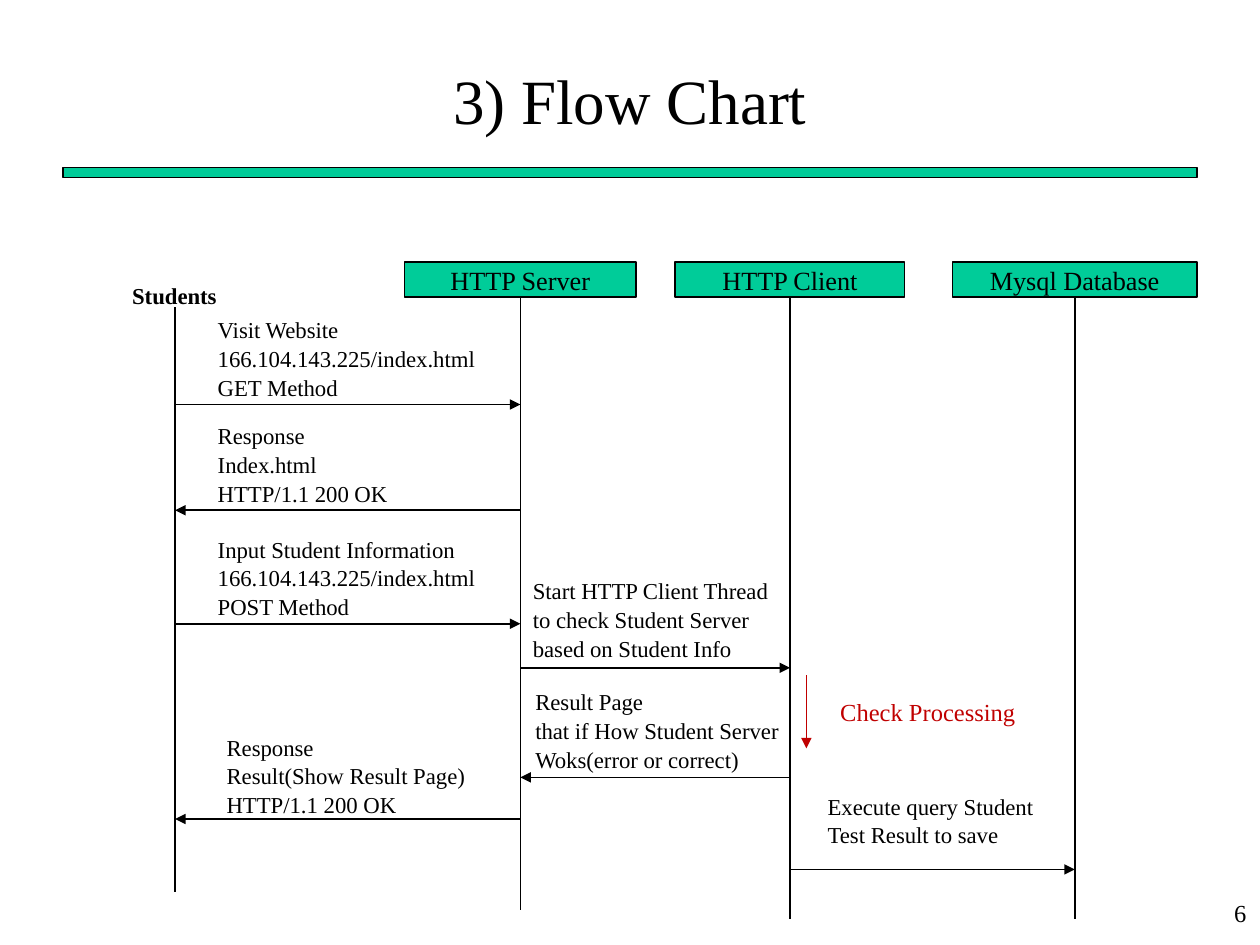
from lxml import etree
from pptx import Presentation
from pptx.dml.color import RGBColor
from pptx.enum import shapes, text
from pptx.oxml.ns import qn
from pptx.util import Inches, Pt

FONT = "Times New Roman"
HEX = {"ink": "000000", "green": "00CC99", "red": "C00000"}
USER = 1.39
HEADS = [
    ("HTTP Server", 3.21, 1.84, 7.22),
    ("HTTP Client", 5.36, 1.82, 7.29),
    ("Mysql Database", 7.56, 1.94, 7.29),
]
SERVER, CLIENT, DATA = [left + width / 2 for _, left, width, _ in HEADS]
ARROWS = [
    (USER, SERVER, 3.21),
    (SERVER, USER, 4.05),
    (USER, SERVER, 4.95),
    (SERVER, CLIENT, 5.3),
    (CLIENT, SERVER, 6.17),
    (SERVER, USER, 6.5),
    (CLIENT, DATA, 6.9),
]
NOTES = [
    (1.63, 2.45, 2.27, ["Visit Website", "166.104.143.225/index.html", "GET Method"]),
    (1.63, 3.29, 1.57, ["Response", "Index.html", "HTTP/1.1 200 OK"]),
    (1.63, 4.19, 2.27, ["Input Student Information", "166.104.143.225/index.html", "POST Method"]),
    (4.13, 4.52, 2.09, ["Start HTTP Client Thread", "to check Student Server", "based on Student Info"]),
    (4.15, 5.4, 2.16, ["Result Page", "that if How Student Server", "Woks(error or correct)"]),
    (1.7, 5.76, 2.11, ["Response", "Result(Show Result Page)", "HTTP/1.1 200 OK"]),
    (6.47, 6.23, 1.85, ["Execute query Student", "Test Result to save"]),
]

deck = Presentation()
deck.slide_width, deck.slide_height = Inches(10), Inches(7.5)
slide = deck.slides.add_slide(deck.slide_layouts[5])


def color(name):
    return RGBColor.from_string(HEX[name])


def write(shape, lines, size, align="LEFT", tone="ink", bold=False, space=1.0):
    frame = shape.text_frame
    for i, line in enumerate(lines):
        para = frame.paragraphs[0] if i == 0 else frame.add_paragraph()
        para.alignment = getattr(text.PP_ALIGN, align)
        para.line_spacing = space
        run = para.add_run()
        run.text = line
        run.font.name, run.font.size, run.font.bold = FONT, Pt(size), bold
        run.font.color.rgb = color(tone)


def label(left, top, width, height, lines, size, **style):
    box = slide.shapes.add_textbox(*map(Inches, (left, top, width, height)))
    box.text_frame.word_wrap = False
    write(box, lines, size, **style)


def bar(left, top, width, height, weight):
    rect = slide.shapes.add_shape(
        shapes.MSO_SHAPE.RECTANGLE, *map(Inches, (left, top, width, height)))
    rect.shadow.inherit = False
    rect.fill.solid()
    rect.fill.fore_color.rgb = color("green")
    rect.line.color.rgb = color("ink")
    rect.line.width = Pt(weight)
    return rect


def link(x1, y1, x2, y2, tone="ink", arrow=True):
    line = slide.shapes.add_connector(
        shapes.MSO_CONNECTOR.STRAIGHT, *map(Inches, (x1, y1, x2, y2)))
    line.line.color.rgb = color(tone)
    line.line.width = Pt(1)
    if arrow:
        etree.SubElement(line.line._get_or_add_ln(), qn("a:tailEnd"), type="triangle")
    etree.SubElement(line._element.spPr, qn("a:effectLst"))
    return line


bar(0.5, 1.33, 9, 0.08, 0.75)
title = slide.shapes.title
title.left, title.top, title.width, title.height = map(Inches, (0.5, 0.33, 9, 0.92))
title.text_frame.vertical_anchor = text.MSO_ANCHOR.MIDDLE
write(title, ["3) Flow Chart"], 36, align="CENTER")

for name, left, width, end in HEADS:
    head = bar(left, 2.08, width, 0.28, 1)
    head.text_frame.word_wrap = False
    head.text_frame.vertical_anchor = text.MSO_ANCHOR.MIDDLE
    write(head, [name], 15, align="CENTER")
    mid = left + width / 2
    link(mid, 2.36, mid, end, arrow=False).begin_connect(head, 2)

label(0.95, 2.19, 0.88, 0.26, ["Students"], 13, bold=True)
link(USER, 2.44, USER, 7.08, arrow=False)

for start, stop, y in ARROWS:
    link(start, y, stop, y)
for left, top, width, lines in NOTES:
    label(left, top, width, 0.1 + 0.22 * len(lines), lines, 13, space=1.05)

link(6.4, 5.36, 6.4, 5.94, tone="red")
label(6.57, 5.48, 1.61, 0.34, ["Check Processing"], 14, tone="red")
label(7.91, 7.08, 2.08, 0.42, ["6"], 14, align="RIGHT")

deck.save("out.pptx")
